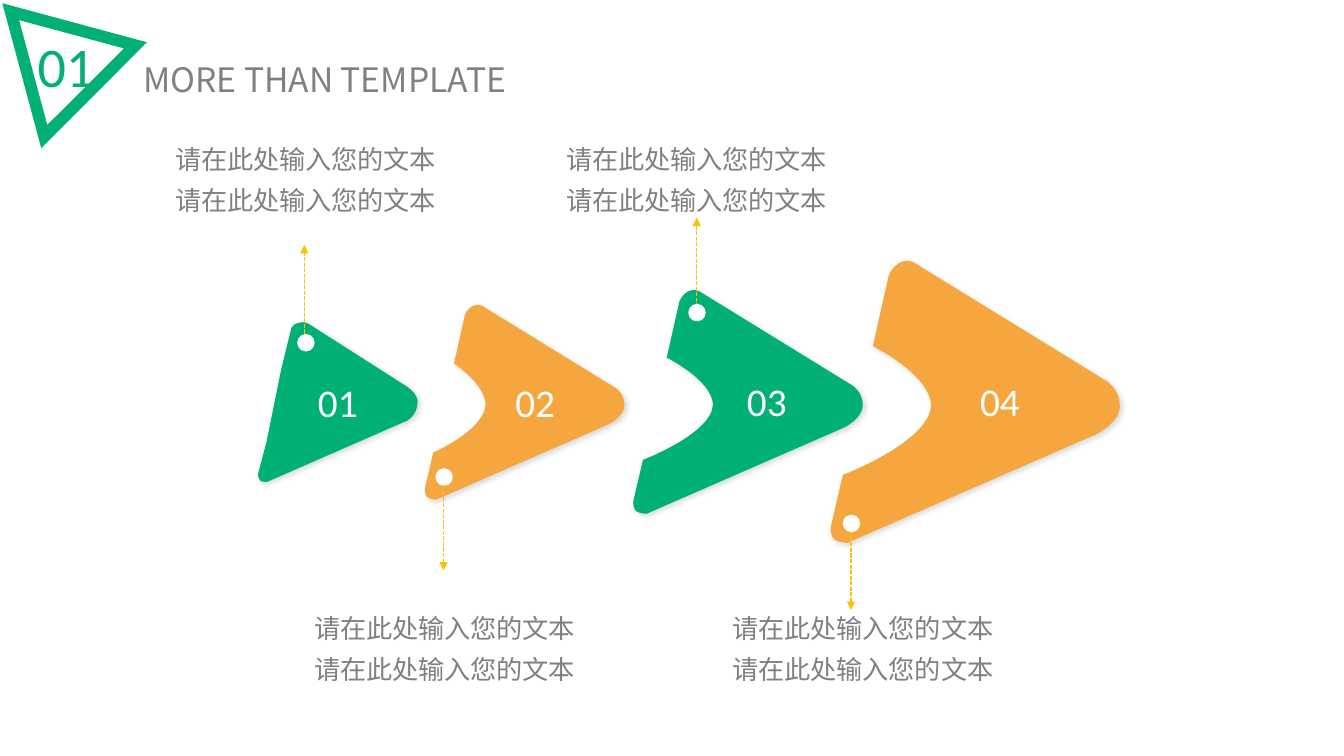
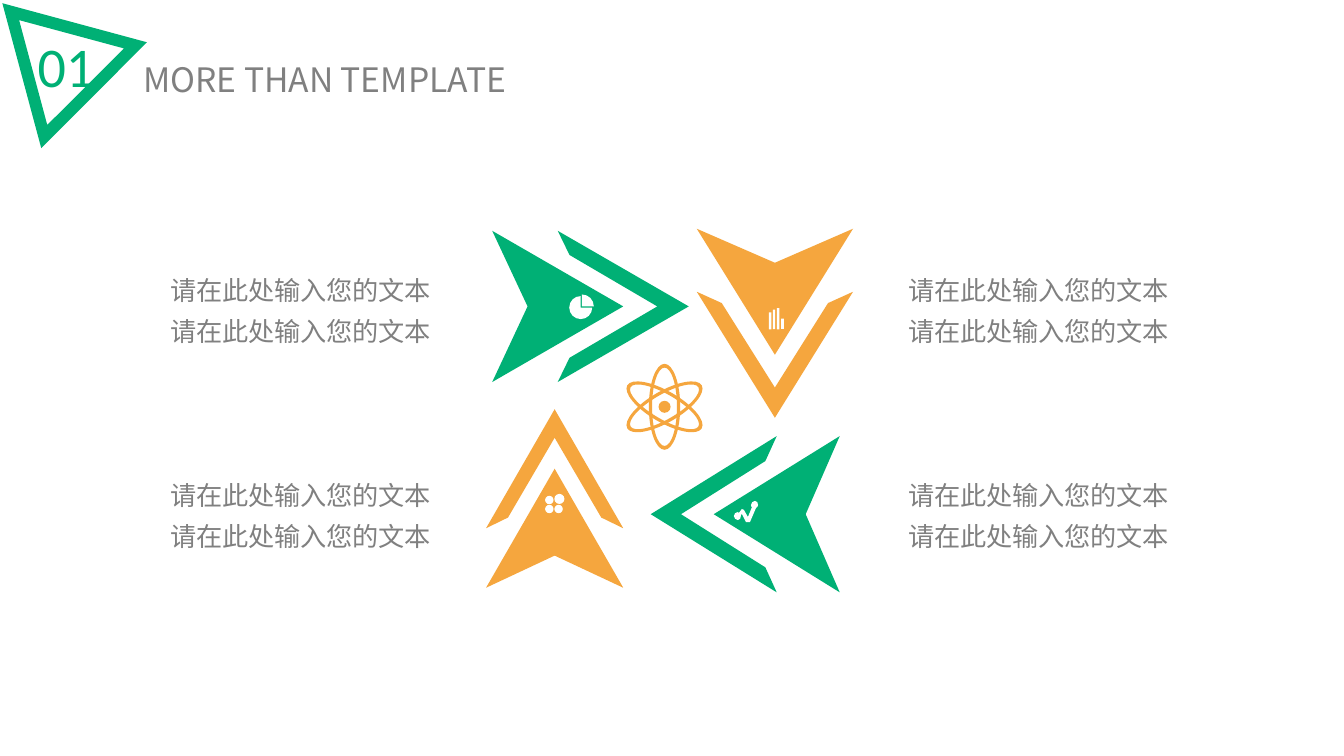
import math

import pptx
import pptx.dml.color
import pptx.enum.dml
import pptx.enum.shapes
import pptx.enum.text
import pptx.oxml
import pptx.oxml.ns
import pptx.util

Pt = pptx.util.Pt
MSO_SHAPE = pptx.enum.shapes.MSO_SHAPE
NAMESPACE = pptx.oxml.ns.nsdecls("a")


class Theme:
    green = "00B075"
    orange = "F5A63E"
    white = "FFFFFF"
    grey = "808080"
    gold = "FFC000"
    latin_font = "Calibri"
    cjk_font = "Noto Sans CJK SC"
    badge_size = 40
    number_size = 28
    title_size = 24
    body_size = 18.67


SLIDE_SIZE = (960, 540)
SECTION_NUMBER = "01"
TITLE = "MORE THAN TEMPLATE"
CAPTION = ["请在此处输入您的文本"] * 2
CAPTION_SIZE = (210, 66)

# A path step of two numbers is a corner, one of six is a cubic curve.
BADGE = [
    [(13.7, 14.4), (33.8, 89.3), (88.6, 34.6)],
    [(1.7, 2.3), (105, 30.2), (29.5, 105.8)],
]
FIRST_ARROW = [
    (16.5, 35), (23.6, 6), (23.6, 6, 24.5, 2, 29, 1.5), (32.5, 0, 36, 2, 36, 2),
    (106.5, 47), (106.5, 47, 114, 52, 114, 57.5),
    (114, 68, 106, 71.5, 106, 71.5), (6.5, 115),
    (6.5, 115, 3, 115, 2, 114.5), (0, 112.5, 0, 109.5, 0, 109.5), (6, 87),
]


def notched_arrow(depth):
    return [
        (164, 83.5), (164, 93, 150.5, 99.5, 150.5, 99.5), (9.5, 161),
        (9.5, 161, 5, 161, 2, 159), (0, 157, 0, 152.5, 0, 152.5),
        (7, 122.5), (7, 122.5, depth, 103.5, depth, 82.5),
        (depth - 1.5, 65, 24, 49.5, 24, 49.5), (33, 9.5),
        (33, 9.5, 35, 3.5, 41, 1.5), (45.5, 0, 49.5, 3.5, 49.5, 3.5),
        (156, 69), (156, 69, 164, 73.5, 164, 83.5),
    ]


# number, colour, outline, left, top, scale, left inset
STEPS = [
    ("03", Theme.green, notched_arrow(57), 452.3, 206, 1, 34),
    ("02", Theme.orange, notched_arrow(50), 303.4, 216.7, 0.87, 22.3),
    ("01", Theme.green, FIRST_ARROW, 184.3, 229.2, 1, 7.2),
    ("04", Theme.orange, notched_arrow(57), 593.3, 184.9, 1.26, 42.5),
]
# line x, line start, line end, dot centre x, dot centre y, caption left, caption top
CALLOUTS = [
    (217.4, 238.3, 175, 218.5, 244.8, 113.2, 92.2),
    (497.7, 219.6, 155.5, 497.9, 223.3, 392.6, 92.2),
    (316.8, 343.4, 407.5, 317.2, 340.7, 212.6, 427.4),
    (607.9, 371.5, 435.6, 608.2, 373.9, 511.4, 427.4),
]
DOT_SIZE = 12.5

# colour, middle of the back, unit direction, length, half width
DARTS = [
    (Theme.green, (351.6, 218.9), (1, 0), 93.6, 54),
    (Theme.orange, (553.5, 163.4), (0, 1), 90, 55.8),
    (Theme.orange, (396.2, 419.8), (0, -1), 85, 49),
    (Theme.green, (599.8, 367.3), (-1, 0), 90, 55.8),
]
# Shares of the length and of the half width
DART = [(0, -1), (1, 0), (0, 1), (0.27, 0)]
CHEVRON = [(0.5, -1), (0.59, -0.68), (1.26, 0), (0.59, 0.68), (0.5, 1), (1.5, 0)]

ATOM_CENTRE = (474.7, 290.6)
ORBIT_RADII = [(11.2, 30.7), (8.9, 28)]
NUCLEUS_SIZE = 8.6
# centre x, centre y, radius, start angle, quarter turns
PIE_SECTORS = [(414.8, 219.7, 8.2, 0, 3), (415.6, 218.9, 8.6, 270, 1)]
# left, top, width, height
BARS = [(549.3, 223.2, 1.7, 12.2), (552.1, 221.2, 1.7, 14),
        (555, 220.1, 1.7, 15.1), (557.9, 227.5, 2, 7.5)]
# centre x, centre y, diameter
CLOVER_DOTS = [(392.4, 357.2, 6), (399.6, 356.4, 7.2),
               (392.4, 363.6, 6), (399, 363.6, 6)]
TREND_LINE = [
    (24, 4), (24, 2, 23, 0, 21, 0), (19, 0, 17, 2, 17, 4), (17, 5, 17, 6, 18, 6),
    (14, 16), (10, 9), (8, 8), (5, 12), (4, 11),
    (2, 11, 0, 13, 0, 15), (0, 17, 2, 19, 4, 19), (6, 19, 7, 17, 7, 15),
    (7, 14), (8, 13), (12, 21), (16, 21), (22, 7), (23, 7, 24, 5, 24, 4),
]
TREND_PLACE = (524.2, 357.8, 0.72)
CAPTION_LEFTS = (109.8, 636.9)
CAPTION_TOPS = (185.8, 332.4)


def rgb(colour):
    return pptx.dml.color.RGBColor.from_string(colour)


def fill_shape(shape, colour):
    shape.shadow.inherit = False
    shape.fill.solid()
    shape.fill.fore_color.rgb = rgb(colour)
    shape.line.fill.background()
    return shape


def bend_segments(shape, contours):
    """Join the three straight segments that stand for each curve into one cubic."""
    segments = iter(list(shape._element.spPr.iter(pptx.oxml.ns.qn("a:lnTo"))))
    for contour in contours:
        for step in contour[1:]:
            nodes = [next(segments) for _ in range(len(step) // 2)]
            if len(nodes) == 1:
                continue
            curve = pptx.oxml.parse_xml(f"<a:cubicBezTo {NAMESPACE}/>")
            nodes[0].addprevious(curve)
            for node in nodes:
                curve.append(node[0])
                node.getparent().remove(node)


def add_outline(shapes, contours, colour, left=0, top=0, scale=1):
    builder = None
    for contour in contours:
        points = [(Pt(left + scale * x), Pt(top + scale * y))
                  for step in contour for x, y in zip(step[::2], step[1::2])]
        if builder is None:
            builder = shapes.build_freeform(*points[0], scale=1.0)
        else:
            builder.move_to(*points[0])
        builder.add_line_segments(points[1:], close=True)
    shape = builder.convert_to_shape()
    bend_segments(shape, contours)
    return fill_shape(shape, colour)


def add_preset(shapes, kind, left, top, width, height, colour):
    shape = shapes.add_shape(kind, Pt(left), Pt(top), Pt(width), Pt(height))
    return fill_shape(shape, colour)


def add_dot(shapes, x, y, size, colour):
    return add_preset(shapes, MSO_SHAPE.OVAL, x - size / 2, y - size / 2, size, size, colour)


def write_text(shape, lines, font, size, colour, line_spacing=1.0, **frame_format):
    frame = shape.text_frame
    for name, value in {"word_wrap": True, **frame_format}.items():
        setattr(frame, name, value)
    for index, line in enumerate(lines):
        paragraph = frame.add_paragraph() if index else frame.paragraphs[0]
        paragraph.alignment = pptx.enum.text.PP_ALIGN.CENTER
        paragraph.line_spacing = line_spacing
        run = paragraph.add_run()
        run.text = line
        for name, value in {"name": font, "size": Pt(size)}.items():
            setattr(run.font, name, value)
        run.font.color.rgb = rgb(colour)
        run.font._element.append(
            pptx.oxml.parse_xml(f'<a:ea {NAMESPACE} typeface="{font}"/>'))


def add_text(slide, box, *text, **formats):
    shape = slide.shapes.add_textbox(*map(Pt, box))
    write_text(shape, *text, auto_size=pptx.enum.text.MSO_AUTO_SIZE.SHAPE_TO_FIT_TEXT, **formats)


def add_caption(slide, left, top):
    add_text(slide, (left, top, *CAPTION_SIZE), CAPTION, Theme.cjk_font,
             Theme.body_size, Theme.grey, line_spacing=1.3)


def add_header(slide):
    middle = pptx.enum.text.MSO_ANCHOR.MIDDLE
    add_text(slide, (19.4, 18.7, 55.4, 55.4), [SECTION_NUMBER], Theme.latin_font,
             Theme.badge_size, Theme.green, vertical_anchor=middle, word_wrap=False)
    add_outline(slide.shapes, BADGE, Theme.green)
    add_text(slide, (58.7, 38.2, 346.3, 36.7), [TITLE], Theme.cjk_font,
             Theme.title_size, Theme.grey, vertical_anchor=middle)


def add_soft_shadow(shape):
    effects = shape._element.spPr.find(pptx.oxml.ns.qn("a:effectLst"))
    effects.append(pptx.oxml.parse_xml(
        f'<a:outerShdw {NAMESPACE} blurRad="{Pt(4)}" dist="{Pt(2)}" dir="2700000">'
        '<a:srgbClr val="000000"><a:alpha val="15000"/></a:srgbClr></a:outerShdw>'))


def add_dashed_arrow(slide, x, start, end):
    connector = slide.shapes.add_connector(
        pptx.enum.shapes.MSO_CONNECTOR.STRAIGHT, Pt(x), Pt(start), Pt(x), Pt(end))
    connector.line.color.rgb = rgb(Theme.gold)
    line_format = {"width": Pt(1), "dash_style": pptx.enum.dml.MSO_LINE.SQUARE_DOT}
    for name, value in line_format.items():
        setattr(connector.line, name, value)
    connector.line._get_or_add_ln().append(
        pptx.oxml.parse_xml(f'<a:tailEnd {NAMESPACE} type="triangle"/>'))
    connector._element.spPr.append(pptx.oxml.parse_xml(f"<a:effectLst {NAMESPACE}/>"))


def build_steps_slide(slide):
    for number, colour, outline, left, top, scale, inset in STEPS:
        arrow = add_outline(slide.shapes, [outline], colour, left, top, scale)
        add_soft_shadow(arrow)
        write_text(arrow, [number], Theme.latin_font, Theme.number_size, Theme.white,
                   vertical_anchor=pptx.enum.text.MSO_ANCHOR.MIDDLE, margin_left=Pt(inset))
    for x, start, end, dot_x, dot_y, left, top in CALLOUTS:
        add_dashed_arrow(slide, x, start, end)
        add_dot(slide.shapes, dot_x, dot_y, DOT_SIZE, Theme.white)
        add_caption(slide, left, top)


def elliptic_arc(x, y, radii, start, quarters, tilt=0):
    """Path along an ellipse, one cubic for each quarter turn."""
    pull = 4 / 3 * (math.sqrt(2) - 1)
    cos_tilt, sin_tilt = math.cos(math.radians(tilt)), math.sin(math.radians(tilt))

    def place(across, down):
        across, down = across * radii[0], down * radii[1]
        return (x + across * cos_tilt - down * sin_tilt,
                y + across * sin_tilt + down * cos_tilt)

    steps = []
    for quarter in range(quarters):
        angle = math.radians(start + 90 * quarter)
        c, s = math.cos(angle), math.sin(angle)
        if not steps:
            steps.append(place(c, s))
        steps.append(place(c - pull * s, s + pull * c)
                     + place(pull * c - s, pull * s + c) + place(-s, c))
    return steps


def add_atom(slide):
    shapes = slide.shapes.add_group_shape().shapes
    for tilt in (0, 120, 60):
        ring = [elliptic_arc(*ATOM_CENTRE, radii, 270, 4, tilt) for radii in ORBIT_RADII]
        add_outline(shapes, ring, Theme.orange)
    add_dot(shapes, *ATOM_CENTRE, NUCLEUS_SIZE, Theme.orange)


def build_cycle_slide(slide):
    shapes = slide.shapes
    for colour, (x, y), (dx, dy), length, half in DARTS:
        for outline in (DART, CHEVRON):
            points = [(x + dx * along * length - dy * across * half,
                       y + dy * along * length + dx * across * half)
                      for along, across in outline]
            add_outline(shapes, [points], colour)
    for x, y, radius, start, quarters in PIE_SECTORS:
        arc = elliptic_arc(x, y, (radius, radius), start, quarters)
        add_outline(shapes, [arc + [(x, y)]], Theme.white)
    add_atom(slide)
    for dot in CLOVER_DOTS:
        add_dot(shapes, *dot, Theme.white)
    add_outline(shapes, [TREND_LINE], Theme.white, *TREND_PLACE)
    for bar in BARS:
        add_preset(shapes, MSO_SHAPE.RECTANGLE, *bar, Theme.white)
    for top in CAPTION_TOPS:
        for left in CAPTION_LEFTS:
            add_caption(slide, left, top)


def main():
    presentation = pptx.Presentation()
    presentation.slide_width, presentation.slide_height = map(Pt, SLIDE_SIZE)
    for build in (build_steps_slide, build_cycle_slide):
        slide = presentation.slides.add_slide(presentation.slide_layouts[6])
        build(slide)
        add_header(slide)
    presentation.save("out.pptx")


if __name__ == "__main__":
    main()
